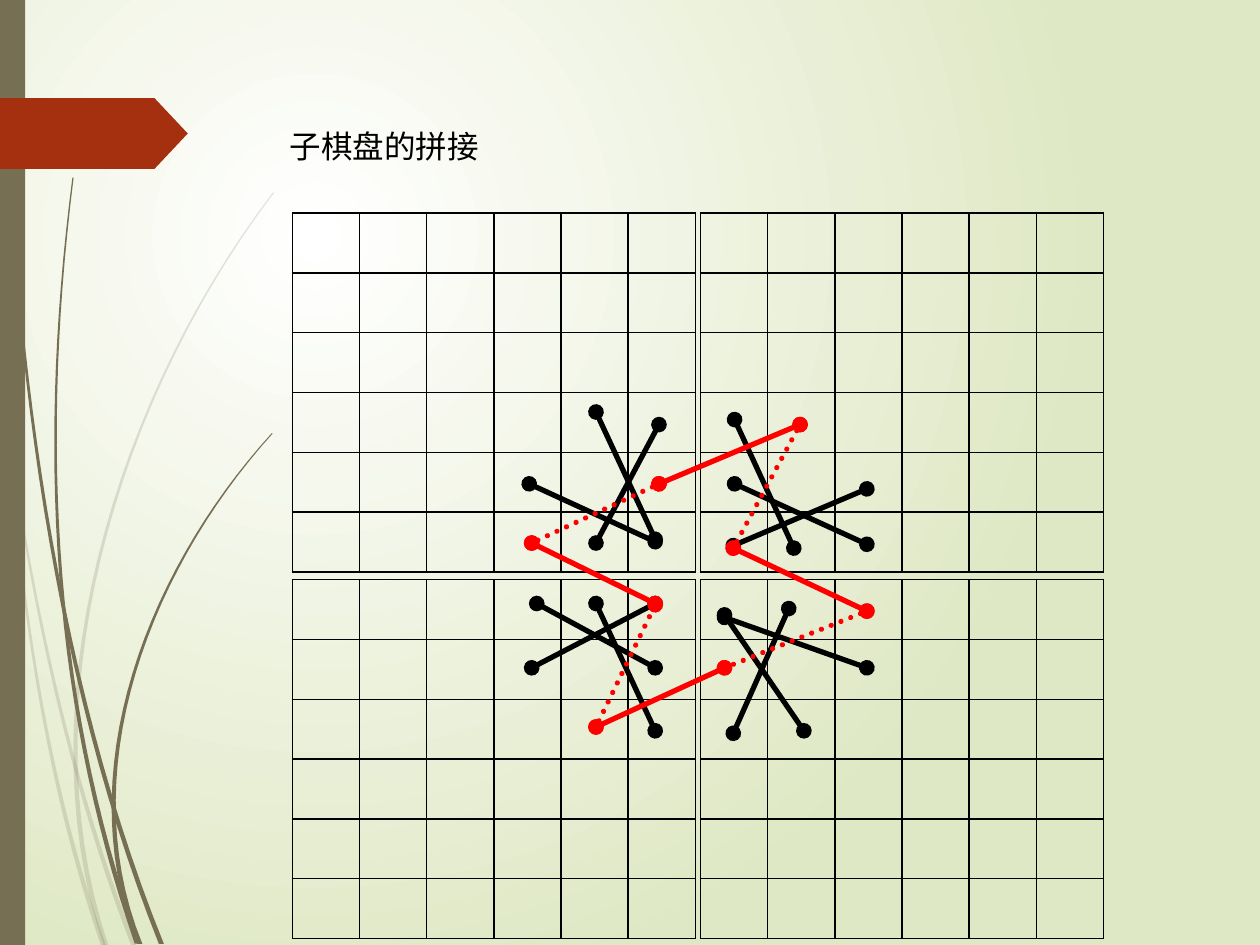
from lxml import etree
from pptx import Presentation
from pptx.dml.color import RGBColor
from pptx.enum.dml import MSO_LINE
from pptx.enum.shapes import MSO_CONNECTOR, MSO_SHAPE
from pptx.enum.text import MSO_AUTO_SIZE
from pptx.oxml import parse_xml
from pptx.oxml.ns import nsdecls, qn
from pptx.util import Cm, Pt

BLACK = RGBColor(0x00, 0x00, 0x00)
RED = RGBColor(0xFF, 0x00, 0x00)
OLIVE = RGBColor(0x76, 0x6F, 0x54)
RUST = RGBColor(0xA5, 0x30, 0x10)
WHITE = RGBColor(0xFF, 0xFF, 0xFF)
PALE_GREEN = RGBColor(0xDF, 0xE8, 0xC4)

# All lengths below are in inches.
TITLE = "子棋盘的拼接"
BOARD_LEFTS, BOARD_TOPS = (2.32, 5.56), (1.69, 4.6)
BOARD_SIZE, SQUARES = (3.2, 2.85), 6

# Knight moves: x1, y1, x2, y2
KEPT_MOVES = [
    (4.73, 4.31, 5.23, 3.37), (5.83, 3.84, 6.88, 4.32), (5.83, 3.33, 6.3, 4.35),
    (5.2, 5.3, 4.26, 4.79), (5.2, 5.8, 4.73, 4.79), (6.26, 4.83, 5.82, 5.82),
    (4.73, 3.27, 5.2, 4.28), (4.2, 3.84, 5.2, 4.3), (4.22, 5.3, 5.2, 4.79),
    (6.38, 5.8, 5.75, 4.88), (6.88, 5.3, 5.75, 4.9), (6.88, 3.88, 5.82, 4.33),
]
JOINING_MOVES = [
    (4.22, 4.31, 5.2, 4.79), (6.88, 4.85, 5.82, 4.35),
    (4.73, 5.77, 5.75, 5.3), (6.35, 3.37, 5.23, 3.84),
]
REMOVED_MOVES = [
    (4.22, 4.31, 5.23, 3.84), (6.88, 4.85, 5.75, 5.3),
    (4.73, 5.77, 5.2, 4.8), (6.35, 3.37, 5.82, 4.35),
]

# Grass blades: the four Bezier points from tip to root
FAINT_GRASS = [
    [(0, 2.9), (0.2, 4.6), (0.55, 6.2), (1.06, 7.5)],
    [(0.08, 3.5), (0.17, 4.9), (0.4, 6.3), (0.82, 7.5)],
    [(2.17, 1.53), (0.9, 3.2), (0.2, 5.6), (0.84, 7.5)],
]
SOLID_GRASS = [
    [(0.03, 0), (0.06, 2.4), (0.36, 5.2), (1.28, 7.49)],
    [(0.58, 1.41), (0.3, 3.6), (0.43, 5.6), (1.09, 7.49)],
    [(2.16, 3.44), (1.2, 4.5), (0.55, 6.1), (1.11, 7.49)],
]
TIP_WIDTH, ROOT_WIDTH = 0.01, 0.04


def inches(*values):
    return [Cm(2.54 * value) for value in values]


def blade_outline(bends, steps=30):
    """Follow the curve down one edge and back up the other, widening to the root."""
    left_edge, right_edge = [], []
    for t in (step / steps for step in range(steps + 1)):
        weights = ((1 - t) ** 3, 3 * t * (1 - t) ** 2, 3 * t * t * (1 - t), t ** 3)
        x, y = (sum(w * bend[axis] for w, bend in zip(weights, bends)) for axis in (0, 1))
        half = (TIP_WIDTH + t * (ROOT_WIDTH - TIP_WIDTH)) / 2
        left_edge.append((max(x - half, 0), y))
        right_edge.append((x + half, y))
    return left_edge + right_edge[::-1]


def paint(shape, color, opacity=100):
    shape.shadow.inherit = False
    shape.fill.solid()
    shape.fill.fore_color.rgb = color
    shape.line.fill.background()
    if opacity < 100:
        srgb = shape.element.spPr.find(".//" + qn("a:srgbClr"))
        etree.SubElement(srgb, qn("a:alpha"), val=str(opacity * 1000))


def add_blade(shapes, bends, opacity):
    start, *others = [inches(*point) for point in blade_outline(bends)]
    builder = shapes.build_freeform(*start)
    builder.add_line_segments(others, close=True)
    paint(builder.convert_to_shape(), OLIVE, opacity)


def add_board(shapes, left, top):
    board = shapes.add_table(SQUARES, SQUARES, *inches(left, top, *BOARD_SIZE)).table
    board.first_row = board.horz_banding = False
    for cell in board.iter_cells():
        properties = cell._tc.get_or_add_tcPr()
        for side in "LRTB":
            properties.append(parse_xml(
                f'<a:ln{side} {nsdecls("a")} w="{Pt(1)}"><a:solidFill>'
                f'<a:srgbClr val="{BLACK}"/></a:solidFill></a:ln{side}>'))
        cell.fill.background()


def add_move(shapes, ends, color, dotted):
    move = shapes.add_connector(MSO_CONNECTOR.STRAIGHT, *inches(*ends))
    move.line.color.rgb = color
    move.line.width = Pt(3)
    properties = move.element.spPr
    stroke = properties.find(qn("a:ln"))
    if dotted:
        move.line.dash_style = MSO_LINE.ROUND_DOT
        stroke.set("cap", "rnd")
    for end in ("a:headEnd", "a:tailEnd"):
        etree.SubElement(stroke, qn(end), type="oval")
    etree.SubElement(properties, qn("a:effectLst"))


def set_background(slide):
    """Radial gradient centred a quarter of the way in from the top left."""
    fill = slide.background.fill
    fill.gradient()
    for stop, color, position in zip(fill.gradient_stops, (WHITE, PALE_GREEN), (0, 1)):
        stop.color.rgb = color
        stop.position = position
    gradient = slide.element.find(".//" + qn("a:gradFill"))
    gradient.replace(gradient.find(qn("a:lin")), parse_xml(
        f'<a:path {nsdecls("a")} path="circle">'
        '<a:fillToRect l="50000" t="50000" r="100000" b="100000"/></a:path>'))


def main():
    deck = Presentation()
    deck.slide_width, deck.slide_height = inches(10, 7.5)
    slide = deck.slides.add_slide(deck.slide_layouts[6])
    shapes = slide.shapes
    set_background(slide)

    for grass, opacity in ((FAINT_GRASS, 20), (SOLID_GRASS, 100)):
        clump = shapes.add_group_shape()
        for bends in grass:
            add_blade(clump.shapes, bends, opacity)
    paint(shapes.add_shape(MSO_SHAPE.RECTANGLE, *inches(0, 0, 0.2, 7.5)), OLIVE)
    tag = shapes.add_shape(MSO_SHAPE.PENTAGON, *inches(0, 0.78, 1.49, 0.56))
    tag.adjustments[0] = 0.47
    paint(tag, RUST)

    title = shapes.add_textbox(*inches(2.2, 0.96, 1.72, 0.4)).text_frame
    title.word_wrap = False
    title.auto_size = MSO_AUTO_SIZE.SHAPE_TO_FIT_TEXT
    title.text = TITLE
    font = title.paragraphs[0].font
    font.name, font.size, font.color.rgb = "League Spartan", Pt(18), BLACK

    for top in BOARD_TOPS:
        for left in BOARD_LEFTS:
            add_board(shapes, left, top)
    for moves, color, dotted in ((KEPT_MOVES, BLACK, False), (JOINING_MOVES, RED, False),
                                 (REMOVED_MOVES, RED, True)):
        for ends in moves:
            add_move(shapes, ends, color, dotted)
    deck.save("out.pptx")


if __name__ == "__main__":
    main()
